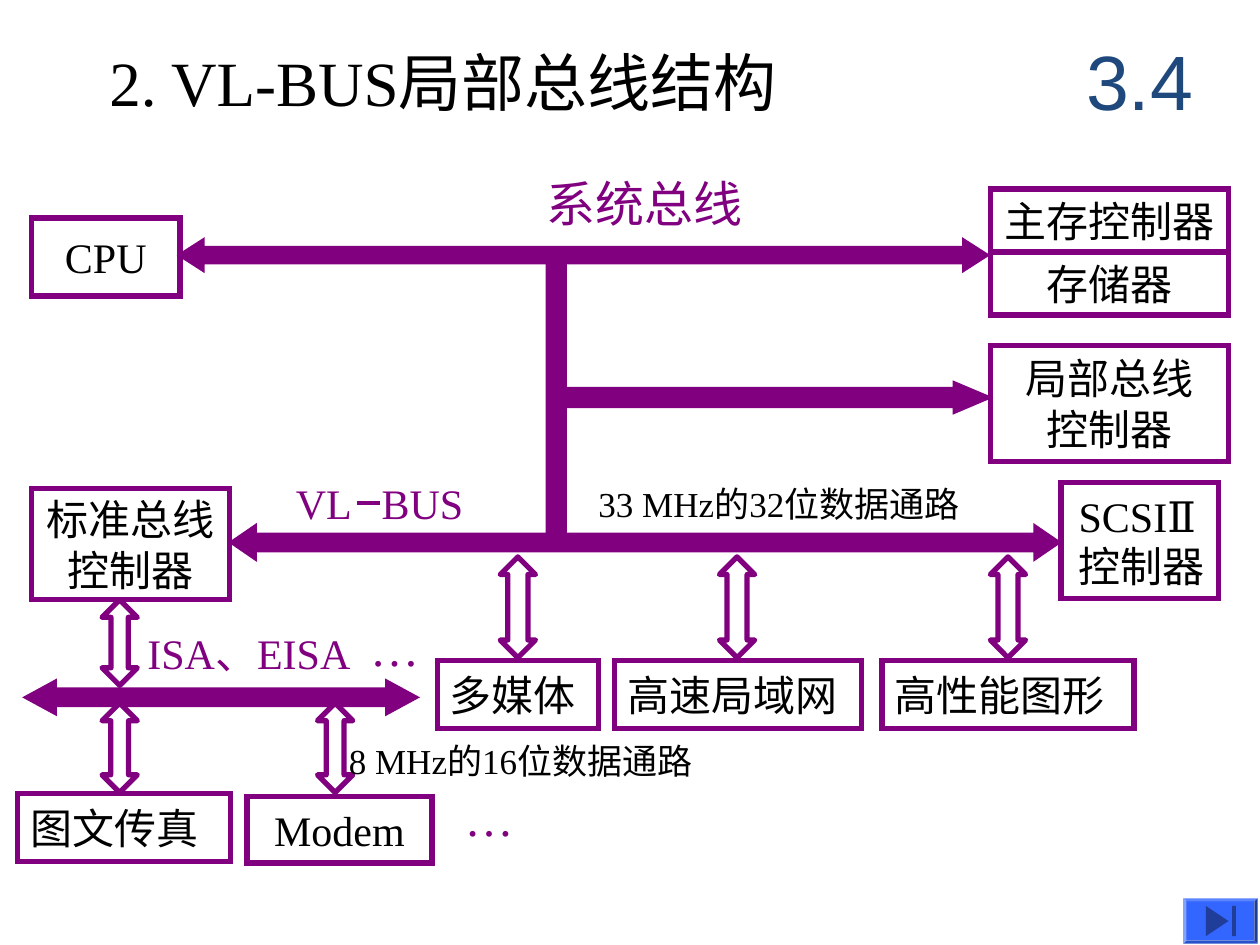
from lxml import etree
from pptx import Presentation
from pptx.dml.color import RGBColor
from pptx.enum.shapes import MSO_CONNECTOR, MSO_SHAPE
from pptx.enum.text import MSO_ANCHOR, PP_ALIGN
from pptx.oxml.ns import qn
from pptx.util import Inches, Pt

RECTANGLE = MSO_SHAPE.RECTANGLE
RIGHT_ARROW = MSO_SHAPE.RIGHT_ARROW
LEFT_RIGHT_ARROW = MSO_SHAPE.LEFT_RIGHT_ARROW
UP_DOWN_ARROW = MSO_SHAPE.UP_DOWN_ARROW
BEVEL = MSO_SHAPE.BEVEL
STRAIGHT = MSO_CONNECTOR.STRAIGHT
LEFT, CENTER = PP_ALIGN.LEFT, PP_ALIGN.CENTER
MIDDLE, TOP = MSO_ANCHOR.MIDDLE, MSO_ANCHOR.TOP

PURPLE, BLACK, BLUE = "800080", "000000", "1F497D"
BUTTON_BLUE, ICON_BLUE = "3366FF", "1F3D99"
SERIF, SANS, BODY = "Times New Roman", "Arial", "Calibri"


def add_block(kind, place, fill=None, line=PURPLE, adjustments=(), join="miter"):
    shape = slide.shapes.add_shape(kind, *map(Inches, place))
    shape.shadow.inherit = False
    for index, value in enumerate(adjustments):
        shape.adjustments[index] = value
    if fill:
        shape.fill.solid()
        shape.fill.fore_color.rgb = RGBColor.from_string(fill)
    else:
        shape.fill.background()
    if line:
        shape.line.color.rgb = RGBColor.from_string(line)
        shape.line.width = Pt(3)
        etree.SubElement(shape._element.spPr.find(qn("a:ln")), qn("a:" + join))
    else:
        shape.line.fill.background()
    return shape


def write(shape, lines, size, color=BLACK, align=LEFT, anchor=TOP, margins=(0.1, 0.05)):
    """Fill a shape with lines of (text, font) runs; margins are side and top,
    and the right one is kept narrow so that no line wraps."""
    frame = shape.text_frame
    frame.word_wrap = True
    frame.vertical_anchor = anchor
    side, top = margins
    frame.margin_left, frame.margin_right = Inches(side), Inches(min(side, 0.05))
    frame.margin_top = frame.margin_bottom = Inches(top)
    for index, runs in enumerate(lines):
        paragraph = frame.add_paragraph() if index else frame.paragraphs[0]
        paragraph.alignment = align
        for text, font in runs:
            run = paragraph.add_run()
            run.text = text
            run.font.name = font
            run.font.size = Pt(size)
            run.font.color.rgb = RGBColor.from_string(color)


presentation = Presentation()
presentation.slide_width = Inches(10)
presentation.slide_height = Inches(7.5)
slide = presentation.slides.add_slide(presentation.slide_layouts[6])

# Heading and section number
title = slide.shapes.add_textbox(Inches(0.77), Inches(0.3), Inches(5.9), Inches(0.7))
write(title, [[("2. VL-BUS局部总线结构", SERIF)]], 36)
section = slide.shapes.add_textbox(Inches(8.42), Inches(0.17), Inches(1.25), Inches(0.92))
write(section, [[("3.4", SANS)]], 44, BLUE, CENTER, MIDDLE, (0.05, 0.05))

# Device boxes: place, lines, alignment, side margin
devices = [
    ((0.25, 1.73, 1.18, 0.62), ["CPU"], CENTER, 0.05),
    ((7.86, 1.5, 1.89, 0.5), ["主存控制器"], CENTER, 0.05),
    ((7.86, 2, 1.89, 0.5), ["存储器"], CENTER, 0.05),
    ((7.86, 2.74, 1.89, 0.92), ["局部总线", "控制器"], CENTER, 0.05),
    ((0.25, 3.88, 1.57, 0.88), ["标准总线", "控制器"], CENTER, 0.05),
    ((8.42, 3.83, 1.25, 0.92), ["SCSIⅡ", "控制器"], LEFT, 0.14),
    ((3.47, 5.24, 1.28, 0.54), ["多媒体"], LEFT, 0.1),
    ((4.88, 5.24, 1.96, 0.54), ["高速局域网"], LEFT, 0.1),
    ((7, 5.24, 2, 0.54), ["高性能图形"], LEFT, 0.1),
    ((0.14, 6.3, 1.69, 0.54), ["图文传真"], LEFT, 0.1),
    ((1.96, 6.32, 1.47, 0.53), ["Modem"], CENTER, 0.05),
]
for place, lines, align, margin in devices:
    box = add_block(RECTANGLE, place)
    write(box, [[(line, SERIF)] for line in lines], 24, BLACK, align, MIDDLE, (margin, 0))

# Buses and the trunk between them
buses = [
    (LEFT_RIGHT_ARROW, (1.44, 1.92, 6.38, 0.21), (0.5, 0.78)),
    (LEFT_RIGHT_ARROW, (1.85, 4.19, 6.54, 0.23), (0.5, 0.73)),
    (RIGHT_ARROW, (4.5, 3.05, 3.33, 0.21), (0.6, 1.18)),
    (LEFT_RIGHT_ARROW, (0.22, 5.42, 3.07, 0.23), (0.5, 0.92)),
]
for kind, place, adjustments in buses:
    add_block(kind, place, PURPLE, adjustments=adjustments)
add_block(RECTANGLE, (4.33, 2.08, 0.17, 2.17), PURPLE, line=None)

# Device links: centre, top, height
links = [(0.95, 4.76, 0.68), (0.95, 5.58, 0.71), (2.66, 5.58, 0.71)]
links += [(center, 4.42, 0.8) for center in (4.11, 5.85, 8)]
for center, top, height in links:
    width = 0.28
    head = 0.2 * height / width
    add_block(UP_DOWN_ARROW, (center - width / 2, top, width, height),
              adjustments=(0.5, head), join="round")

# Labels: place, runs, size, colour, margins
inset, flush = (0.1, 0.05), (0, 0)
labels = [
    ((4.34, 1.38, 1.7, 0.47), [("系统总线", BODY)], 28, PURPLE, flush),
    ((1.17, 4.98, 2.18, 0.4), [("ISA、EISA", SERIF)], 24, PURPLE, flush),
    ((2.84, 4.85, 0.7, 0.57), [("…", SERIF)], 28, PURPLE, inset),
    ((3.59, 6.2, 0.7, 0.57), [("…", SERIF)], 28, PURPLE, inset),
]
data_paths = [((4.75, 3.83, 3.4, 0.33), "33 MHz", "32", flush),
              ((2.67, 5.82, 3.4, 0.44), "8 MHz", "16", inset)]
for place, clock, bits, margins in data_paths:
    runs = [(clock, SERIF), ("的", BODY), (bits, SERIF), ("位数据通路", BODY)]
    labels.append((place, runs, 20, BLACK, margins))
for place, runs, size, color, margins in labels:
    label = slide.shapes.add_textbox(*map(Inches, place))
    write(label, [runs], size, color, margins=margins)

# VL-BUS label, with a drawn dash in the tabbed gap
vl_bus = slide.shapes.add_textbox(Inches(2.25), Inches(3.74), Inches(1.96), Inches(0.5))
properties = vl_bus.text_frame.paragraphs[0]._p.get_or_add_pPr()
tab_stops = etree.SubElement(properties, qn("a:tabLst"))
etree.SubElement(tab_stops, qn("a:tab"), pos=str(Inches(0.68)), algn="l")
write(vl_bus, [[("VL\tBUS", SERIF)]], 24, PURPLE)
dash = slide.shapes.add_connector(STRAIGHT, Inches(2.83), Inches(3.99),
                                  Inches(3.02), Inches(3.99))
dash.line.color.rgb = RGBColor.from_string(PURPLE)
dash.line.width = Pt(2.25)
etree.SubElement(dash._element.spPr, qn("a:effectLst"))

# Button that skips to the end
add_block(BEVEL, (9.39, 7.13, 0.59, 0.36), BUTTON_BLUE, None, (0.07,))
outline = slide.shapes.build_freeform(Inches(9.57), Inches(7.19), scale=1.0)
outline.add_line_segments([(Inches(9.75), Inches(7.31)), (Inches(9.57), Inches(7.43))])
triangle = outline.convert_to_shape()
triangle.shadow.inherit = False
triangle.fill.solid()
triangle.fill.fore_color.rgb = RGBColor.from_string(ICON_BLUE)
triangle.line.fill.background()
add_block(RECTANGLE, (9.78, 7.19, 0.03, 0.24), ICON_BLUE, None)

presentation.save("out.pptx")
